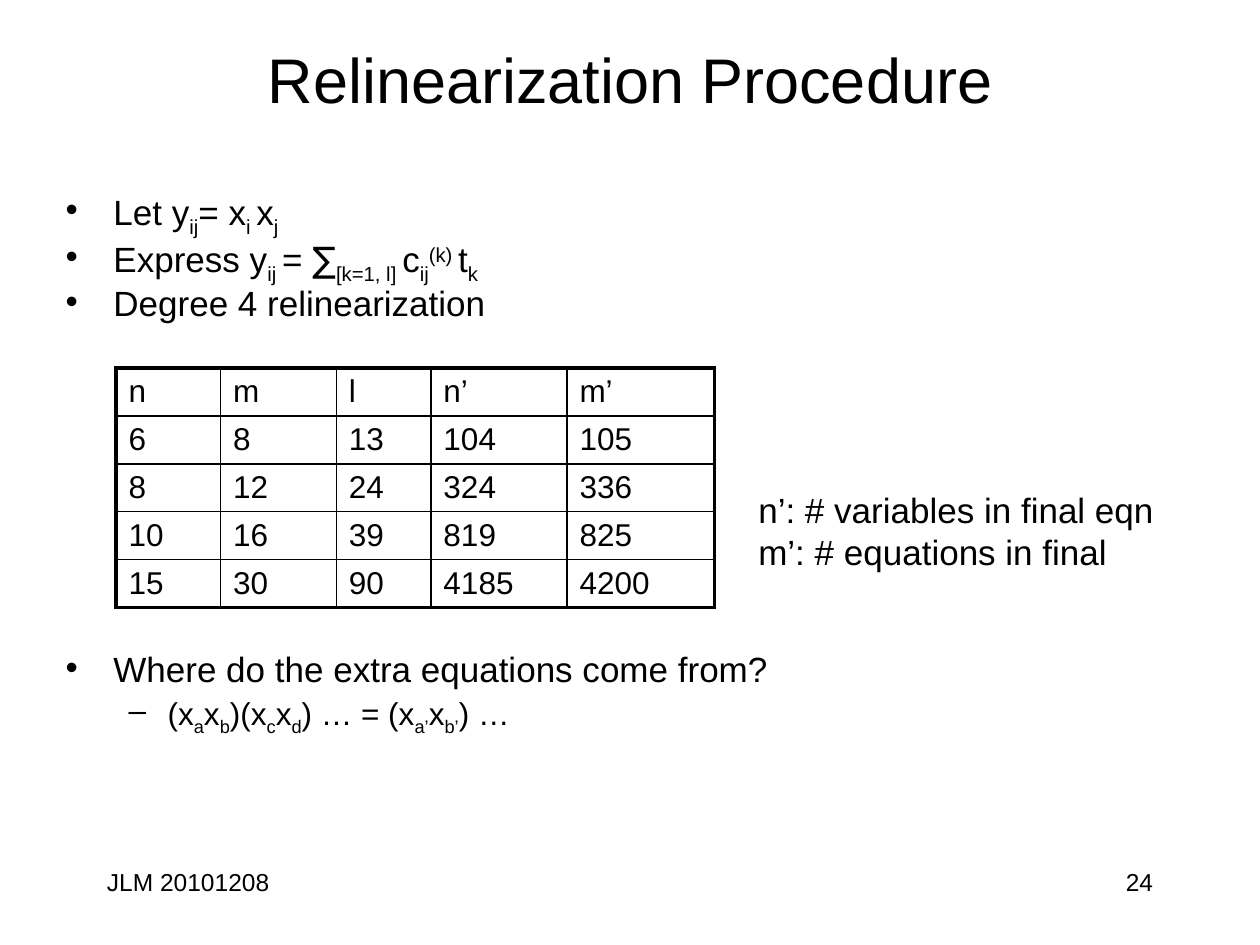
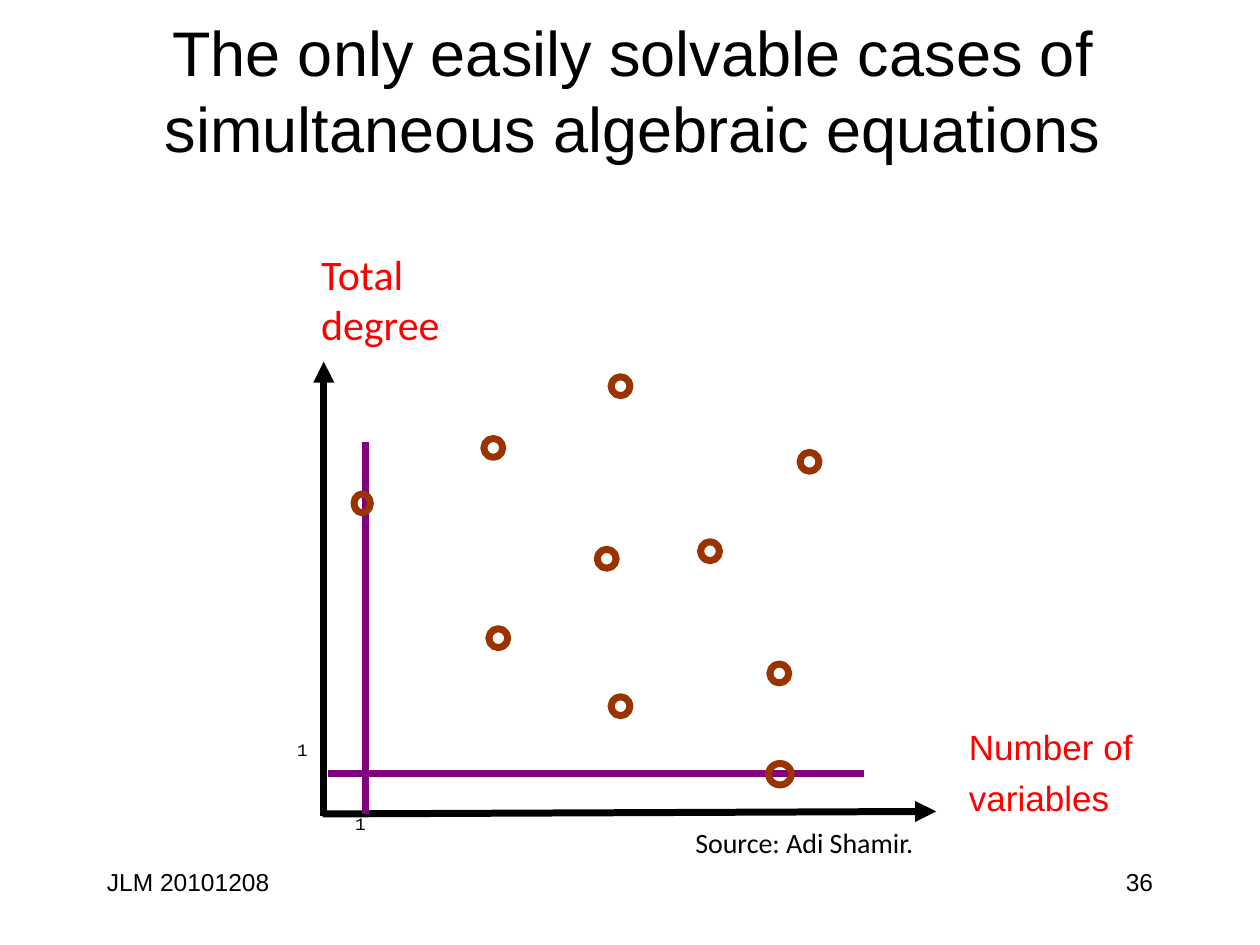
import pptx
import pptx.util
import pptx.dml.color
import pptx.enum.shapes
import pptx.enum.text
import pptx.oxml.ns
import lxml.etree

Inches = pptx.util.Inches
Pt = pptx.util.Pt
BLACK = pptx.dml.color.RGBColor(0, 0, 0)
RED = pptx.dml.color.RGBColor(255, 0, 0)
PURPLE = pptx.dml.color.RGBColor(128, 0, 128)
BROWN = pptx.dml.color.RGBColor(153, 51, 0)
ALIGN = pptx.enum.text.PP_ALIGN
ANCHOR = pptx.enum.text.MSO_ANCHOR
SUB, SUPER = -25, 30
TITLE = {"size": Pt(36), "name": "Arial"}
LIST = {"size": Pt(20), "name": "Arial"}
SUBLIST = {"size": Pt(18), "name": "Arial"}
FOOTER = {"size": Pt(14), "name": "Arial"}
AXIS = {"size": Pt(24), "name": "Calibri"}
TICK = {"size": Pt(10), "name": "Courier New"}
SOURCE = {"size": Pt(16), "name": "Calibri"}
qn = pptx.oxml.ns.qn


def write(para, spans, look, color=BLACK):
    for text, shift in spans:
        span = para.add_run()
        span.text = text
        for name, value in look.items():
            setattr(span.font, name, value)
        span.font.color.rgb = color
        if text == "∑":
            span.font.name = "Noto Sans Mono"
        if shift:
            span._r.get_or_add_rPr().set("baseline", str(shift * 1000))


def fill_box(box, place, lines, look, color=BLACK, align=ALIGN.LEFT):
    box.left, box.top, box.width, box.height = [Inches(value) for value in place]
    frame = box.text_frame
    frame.word_wrap = True
    frame.auto_size = pptx.enum.text.MSO_AUTO_SIZE.NONE
    for number, line in enumerate(lines):
        para = frame.paragraphs[0] if number == 0 else frame.add_paragraph()
        para.alignment = align
        write(para, [(line, 0)], look, color)
    return frame


deck = pptx.Presentation()
deck.slide_width, deck.slide_height = Inches(10), Inches(7.5)

pages = []
for title, place, number in [
    ("Relinearization Procedure", (0.75, 0.25, 8.5, 0.75), "24"),
    ("The only easily solvable cases of simultaneous algebraic equations",
     (0.32, 0.25, 9.4, 0.92), "36"),
]:
    page = deck.slides.add_slide(deck.slide_layouts[1])
    frame = fill_box(page.shapes.title, place, [title], TITLE, align=ALIGN.CENTER)
    frame.vertical_anchor = ANCHOR.MIDDLE
    for left, text, align in [(0.75, "JLM 20101208", ALIGN.LEFT), (7.17, number, ALIGN.RIGHT)]:
        box = page.shapes.add_textbox(0, 0, 0, 0)
        fill_box(box, (left, 6.83, 2.08, 0.5), [text], FOOTER, align=align)
    pages.append(page)
procedure, cases = pages

body = procedure.placeholders[1]
frame = fill_box(body, (0.42, 1.5, 9.25, 5.17), [], LIST)
bullets = [
    (0, 0, [("Let y", 0), ("ij", SUB), ("= x", 0), ("i ", SUB), ("x", 0), ("j", SUB)]),
    (0, 5, [("Express y", 0), ("ij ", SUB), ("= ", 0), ("∑", 0), ("[k=1, l] ", SUB),
            ("c", 0), ("ij", SUB), ("(k) ", SUPER), ("t", 0), ("k", SUB)]),
    (0, 5, [("Degree 4 relinearization", 0)]),
    (0, 190, [("Where do the extra equations come from?", 0)]),
    (1, 5, [("(x", 0), ("a", SUB), ("x", 0), ("b", SUB), (")(x", 0), ("c", SUB), ("x", 0),
            ("d", SUB), (") … = (x", 0), ("a’", SUB), ("x", 0), ("b’", SUB), (") …", 0)]),
]
for number, (level, before, spans) in enumerate(bullets):
    para = frame.paragraphs[0] if number == 0 else frame.add_paragraph()
    properties = para._p.get_or_add_pPr()
    margin, indent, mark, look = [(0.38, -0.38, "•", LIST), (0.81, -0.31, "–", SUBLIST)][level]
    properties.set("marL", str(Inches(margin)))
    properties.set("indent", str(Inches(indent)))
    lxml.etree.SubElement(properties, qn("a:buChar")).set("char", mark)
    para.level = level
    para.line_spacing = 0.8
    para.space_before = Pt(before)
    write(para, spans, look)

rows = [
    ["n", "m", "l", "n’", "m’"],
    ["6", "8", "13", "104", "105"],
    ["8", "12", "24", "324", "336"],
    ["10", "16", "39", "819", "825"],
    ["15", "30", "90", "4185", "4200"],
]
table = procedure.shapes.add_table(
    5, 5, Inches(0.92), Inches(2.92), Inches(4.75), Inches(1.9)).table
table.first_row = table.horz_banding = False
for column, width in zip(table.columns, [0.83, 0.92, 0.75, 1.08, 1.17]):
    column.width = Inches(width)
for down, row in enumerate(rows):
    table.rows[down].height = Inches(0.38)
    for across, text in enumerate(row):
        cell = table.cell(down, across)
        write(cell.text_frame.paragraphs[0], [(text, 0)], SUBLIST)
        properties = cell._tc.get_or_add_tcPr()
        for side, outer in [("L", across == 0), ("R", across == 4), ("T", down == 0), ("B", down == 4)]:
            border = lxml.etree.SubElement(properties, qn("a:ln" + side))
            border.set("w", str(Pt(2.25 if outer else 1)))
            paint = lxml.etree.SubElement(border, qn("a:solidFill"))
            lxml.etree.SubElement(paint, qn("a:srgbClr")).set("val", str(BLACK))
        cell.fill.background()

legend = procedure.shapes.add_textbox(0, 0, 0, 0)
fill_box(legend, (5.92, 3.83, 3.5, 0.77),
         ["n’: # variables in final eqn", "m’: # equations in final"], LIST)

frame = fill_box(cases.placeholders[1], (7.59, 5.71, 1.76, 1.17),
                 ["Number of", "variables"], LIST, RED)
for para, before in zip(frame.paragraphs, [0, 5]):
    properties = para._p.get_or_add_pPr()
    properties.set("marL", "0")
    properties.set("indent", "0")
    lxml.etree.SubElement(properties, qn("a:buNone"))
    para.space_before = Pt(before)

for start_x, start_y, end_x, end_y, color, arrow in [
    (2.57, 6.48, 2.57, 2.87, BLACK, True),
    (2.56, 6.46, 7.43, 6.44, BLACK, True),
    (2.6, 6.14, 6.86, 6.14, PURPLE, False),
    (2.9, 6.46, 2.9, 3.51, PURPLE, False),
]:
    line = cases.shapes.add_connector(
        pptx.enum.shapes.MSO_CONNECTOR.STRAIGHT,
        Inches(start_x), Inches(start_y), Inches(end_x), Inches(end_y))
    line.line.color.rgb = color
    line.line.width = Pt(4)
    if arrow:
        lxml.etree.SubElement(line.line._get_or_add_ln(), qn("a:tailEnd")).set("type", "triangle")
    lxml.etree.SubElement(line._element.spPr, qn("a:effectLst"))

dots = [(3.84, 3.48), (4.74, 4.36), (6.11, 5.27), (4.85, 5.53), (5.56, 4.3),
        (4.85, 2.99), (6.35, 3.59), (3.88, 4.99)]
rings = [(left, top, 0.15, 0.15) for left, top in dots]
rings += [(2.81, 3.92, 0.13, 0.15), (6.1, 6.06, 0.18, 0.17)]
for place in rings:
    ring = cases.shapes.add_shape(
        pptx.enum.shapes.MSO_SHAPE.FLOWCHART_CONNECTOR, *[Inches(value) for value in place])
    ring.shadow.inherit = False
    ring.fill.background()
    ring.line.color.rgb = BROWN
    ring.line.width = Pt(4)

for place, lines, look, color in [
    ((2.45, 1.92, 1.3, 1.17), ["Total", "degree"], AXIS, RED),
    ((2.72, 6.4, 0.38, 0.57), ["1"], TICK, BLACK),
    ((2.26, 5.82, 0.38, 0.57), ["1"], TICK, BLACK),
    ((5.42, 6.5, 2, 0.37), ["Source: Adi Shamir."], SOURCE, BLACK),
]:
    fill_box(cases.shapes.add_textbox(0, 0, 0, 0), place, lines, look, color)

deck.save("out.pptx")
